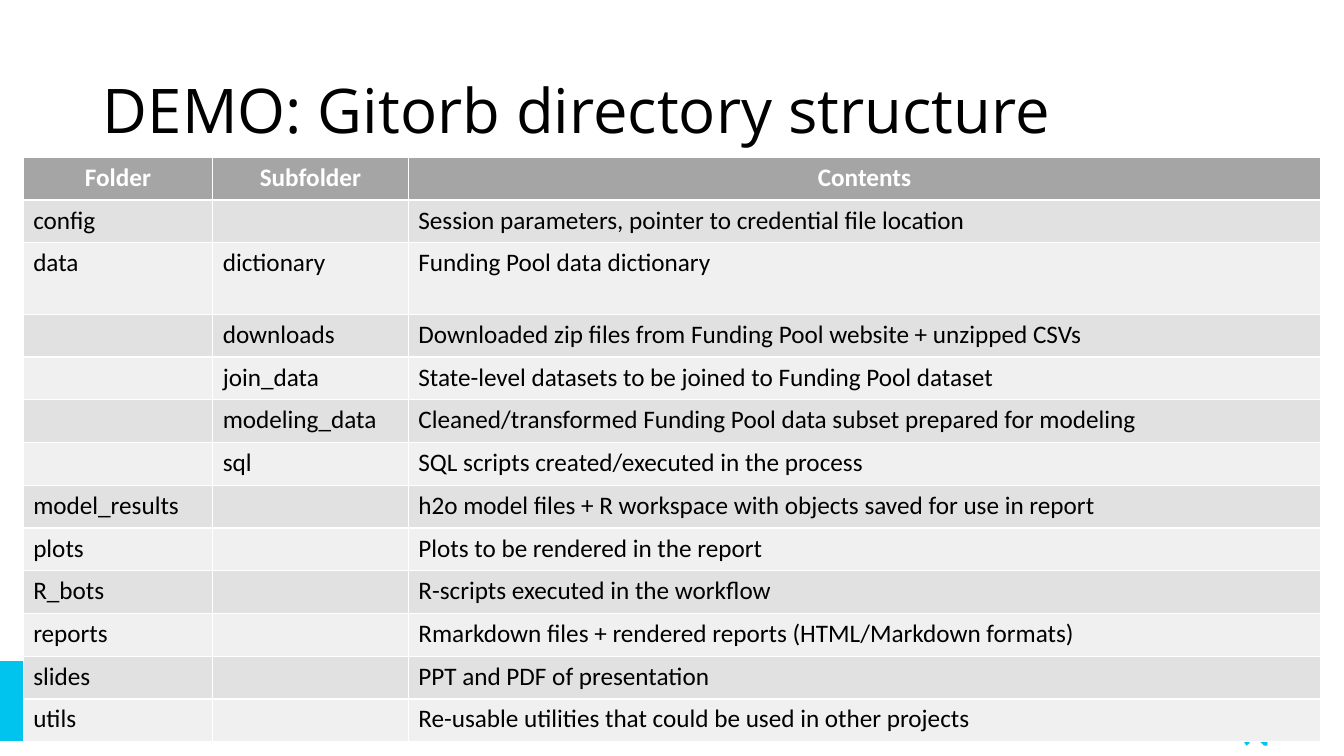
from pptx import Presentation
from pptx.dml.color import RGBColor
from pptx.enum.shapes import MSO_SHAPE
from pptx.enum.text import MSO_ANCHOR, MSO_AUTO_SIZE, PP_ALIGN
from pptx.util import Inches, Pt

COLORS = {
    "accent": "00C4ED",
    "black": "000000",
    "white": "FFFFFF",
    "header": "A5A5A5",
    "odd": "E1E1E1",
    "even": "F0F0F0",
}
FORMATS = {
    "year": {"size": Pt(24), "name": "Open Sans", "bold": True},
    "title": {"size": Pt(44), "name": "Open Sans", "bold": False},
    "header": {"size": Pt(18), "name": "Calibri", "bold": True},
    "cell": {"size": Pt(18), "name": "Calibri", "bold": False},
}
ROWS = [
    ("Folder", "Subfolder", "Contents"),
    ("config", "", "Session parameters, pointer to credential file location"),
    ("data", "dictionary", "Funding Pool data dictionary"),
    ("", "downloads", "Downloaded zip files from Funding Pool website + unzipped CSVs"),
    ("", "join_data", "State-level datasets to be joined to Funding Pool dataset"),
    ("", "modeling_data", "Cleaned/transformed Funding Pool data subset prepared for modeling"),
    ("", "sql", "SQL scripts created/executed in the process"),
    ("model_results", "", "h2o model files + R workspace with objects saved for use in report"),
    ("plots", "", "Plots to be rendered in the report"),
    ("R_bots", "", "R-scripts executed in the workflow"),
    ("reports", "", "Rmarkdown files + rendered reports (HTML/Markdown formats)"),
    ("slides", "", "PPT and PDF of presentation"),
    ("utils", "", "Re-usable utilities that could be used in other projects"),
]
COL_WIDTHS = [1.88, 1.94, 9.05]
TABLE_HEIGHT = 5.8
TALL_ROW, TALL_HEIGHT = 2, 0.71


def rgb(name):
    return RGBColor.from_string(COLORS[name])


def write(tf, text, style, color, align):
    p = tf.paragraphs[0]
    p.alignment = align
    r = p.add_run()
    r.text = text
    for key, value in FORMATS[style].items():
        setattr(r.font, key, value)
    r.font.color.rgb = rgb(color)


prs = Presentation()
prs.slide_width, prs.slide_height = Inches(13.33), Inches(7.5)
s = prs.slides.add_slide(prs.slide_layouts[5])

bar = s.shapes.add_shape(MSO_SHAPE.RECTANGLE, Inches(0), Inches(6.56), Inches(9.7), Inches(0.79))
bar.shadow.inherit = False
bar.fill.solid()
bar.fill.fore_color.rgb = rgb("accent")
bar.line.fill.background()

year = s.shapes.add_textbox(Inches(12.19), Inches(6.56), Inches(0.81), Inches(1.32))
tf = year.text_frame
tf.word_wrap = True
tf._txBody.bodyPr.set("vert", "vert270")
write(tf, "2018", "year", "accent", PP_ALIGN.RIGHT)

title = s.shapes.title
title.left, title.top, title.width, title.height = map(Inches, (0.92, 0.4, 11.5, 1.45))
tf = title.text_frame
tf.auto_size = MSO_AUTO_SIZE.NONE
tf.vertical_anchor = MSO_ANCHOR.MIDDLE
write(tf, "DEMO: Gitorb directory structure", "title", "black", PP_ALIGN.LEFT)
tf.paragraphs[0].line_spacing = 0.9

table = s.shapes.add_table(
    len(ROWS), len(COL_WIDTHS), Inches(0.23), Inches(1.56),
    Inches(sum(COL_WIDTHS)), Inches(TABLE_HEIGHT),
).table
for column, width in zip(table.columns, COL_WIDTHS):
    column.width = Inches(width)

row_height = (TABLE_HEIGHT - TALL_HEIGHT) / (len(ROWS) - 1)
for i, row in enumerate(ROWS):
    table.rows[i].height = Inches(TALL_HEIGHT if i == TALL_ROW else row_height)
    fill = "header" if i == 0 else "odd" if i % 2 else "even"
    for j, text in enumerate(row):
        cell = table.cell(i, j)
        cell.fill.solid()
        cell.fill.fore_color.rgb = rgb(fill)
        if text and i == 0:
            write(cell.text_frame, text, "header", "white", PP_ALIGN.CENTER)
        elif text:
            write(cell.text_frame, text, "cell", "black", PP_ALIGN.LEFT)

prs.save("out.pptx")
